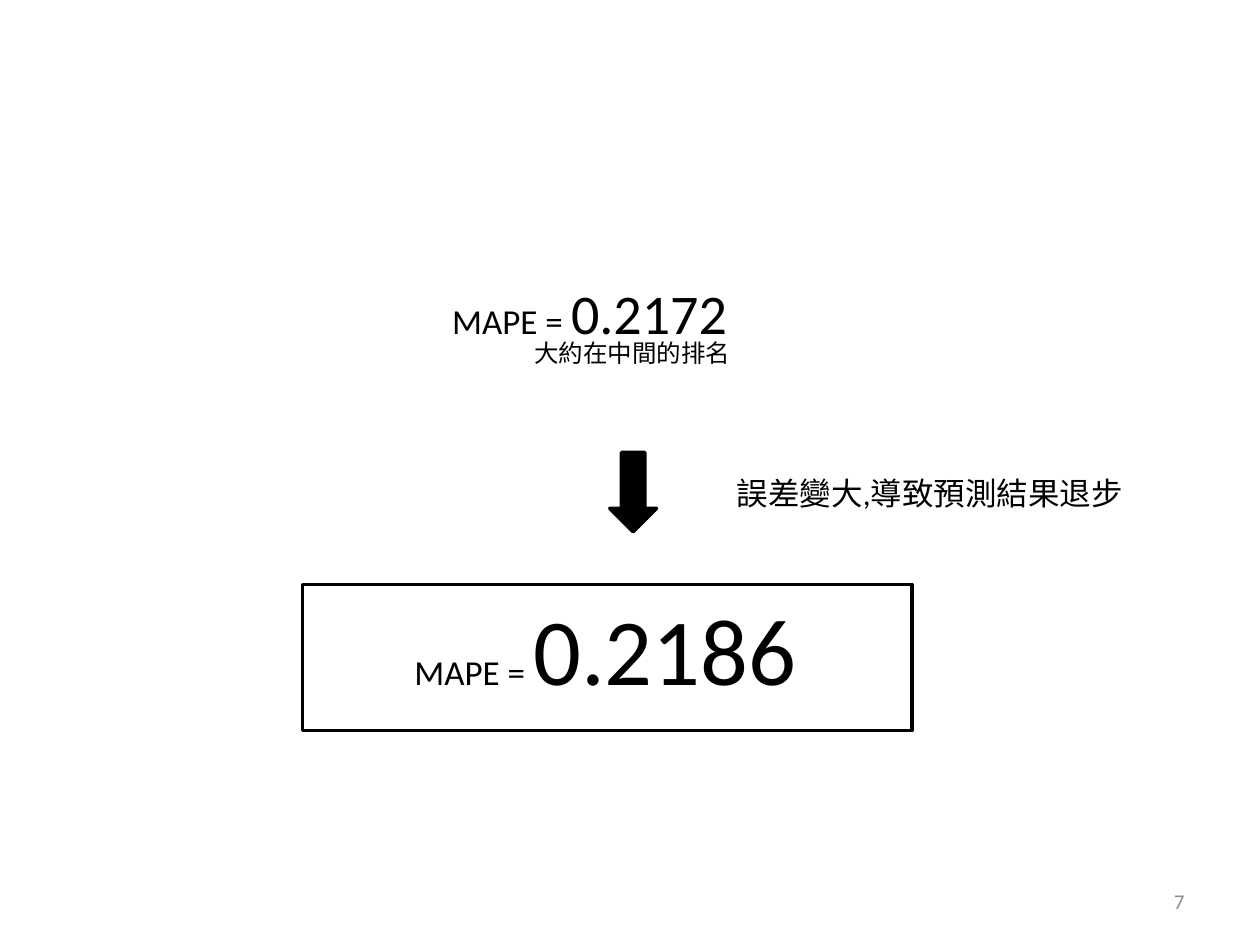
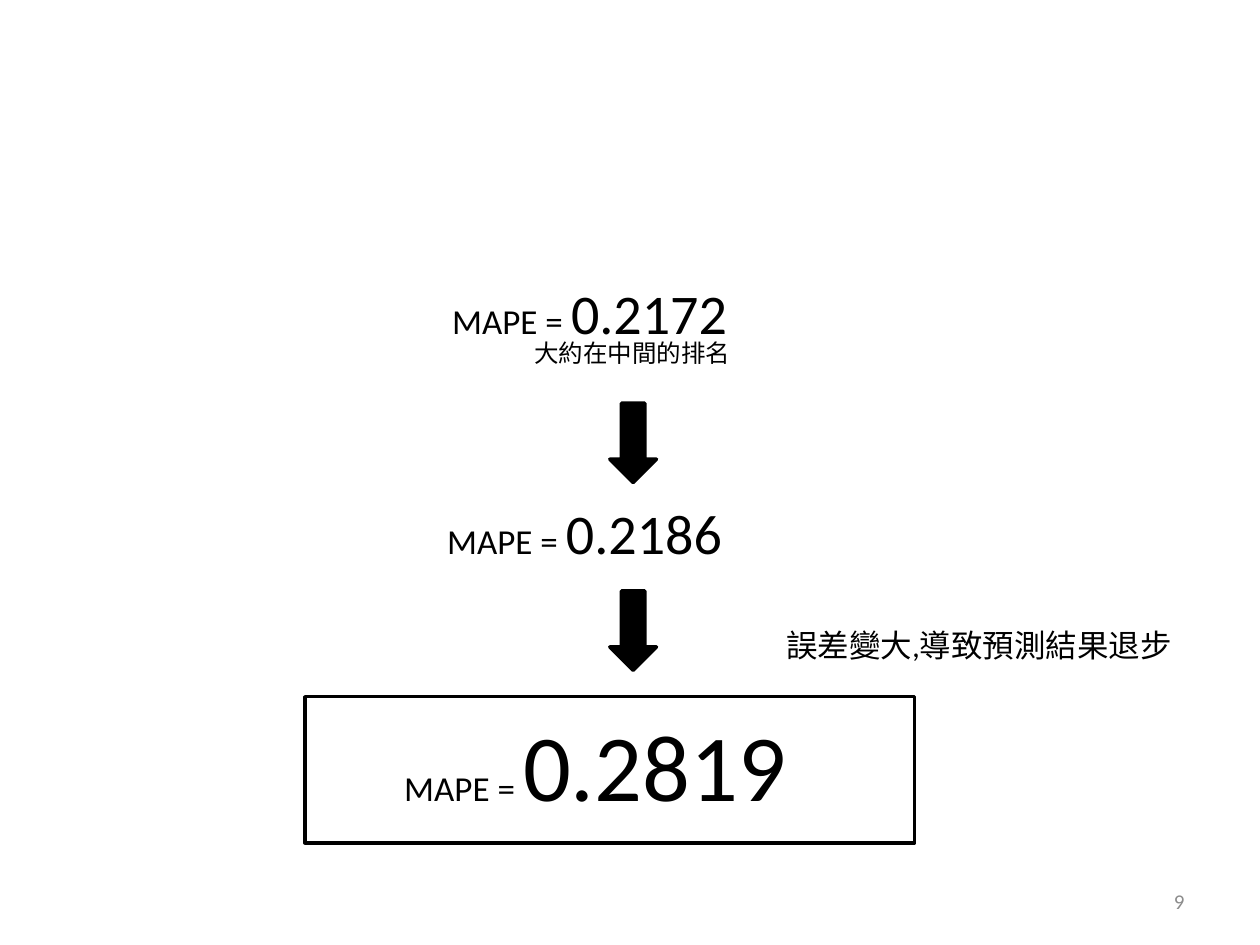
from pptx import Presentation
from pptx import util as u
from pptx.dml.color import RGBColor
from pptx.enum import shapes, text

BLACK, GREY = "000000", "8C8C8C"
FONT = "Calibri"


def write(slide, box, runs, color=BLACK, wrap=True, indent=0,
          align=text.PP_ALIGN.LEFT, anchor=text.MSO_ANCHOR.TOP):
    frame = slide.shapes.add_textbox(*map(u.Inches, box)).text_frame
    frame.word_wrap = wrap
    frame.vertical_anchor = anchor
    line = frame.paragraphs[0]
    line.alignment = align
    if indent:
        line.level = 1
        properties = line._p.get_or_add_pPr()
        properties.set("marL", str(u.Inches(indent)))
        properties.set("indent", "0")
    for words, size in runs:
        run = line.add_run()
        run.text = words
        run.font.name = FONT
        run.font.size = u.Pt(size)
        run.font.color.rgb = RGBColor.from_string(color)


def draw(slide, kind, box, fill=None):
    shape = slide.shapes.add_shape(kind, *map(u.Inches, box))
    shape.shadow.inherit = False
    if fill:
        shape.fill.solid()
        shape.fill.fore_color.rgb = RGBColor.from_string(fill)
    else:
        shape.fill.background()
    shape.line.color.rgb = RGBColor.from_string(BLACK)
    shape.line.width = u.Pt(2)


deck = Presentation()
deck.slide_width, deck.slide_height = u.Inches(10), u.Inches(7.5)

first_score = (3.49, 2.16, "0.2172", 32)
pages = [
    {"number": "7",
     "scores": [first_score, (3.19, 4.64, "0.2186", 54)],
     "arrows": [3.59], "remark": (5.25, 3.71), "frame": (2.4, 4.64)},
    {"number": "9",
     "scores": [first_score, (3.45, 3.91, "0.2186", 32), (3.11, 5.56, "0.2819", 54)],
     "arrows": [3.2, 4.69], "remark": (5.64, 4.92), "frame": (2.42, 5.53)},
]

for page in pages:
    slide = deck.slides.add_slide(deck.slide_layouts[6])
    for left, top, score, size in page["scores"]:
        height = 1.01 if size == 54 else 0.64
        write(slide, (left, top, 4.05, height), [("MAPE = ", 20), (score, size)])
    write(slide, (4.14, 2.63, 1.77, 0.34), [("大約在中間的排名", 14)], wrap=False)
    for top in page["arrows"]:
        draw(slide, shapes.MSO_SHAPE.DOWN_ARROW, (4.84, top, 0.37, 0.63), fill=BLACK)
    write(slide, (*page["remark"], 3.8, 0.4), [("誤差變大,導致預測結果退步", 18)], indent=0.5)
    draw(slide, shapes.MSO_SHAPE.RECTANGLE, (*page["frame"], 4.84, 1.16))
    write(slide, (7.17, 6.95, 2.33, 0.4), [(page["number"], 12)], color=GREY,
          align=text.PP_ALIGN.RIGHT, anchor=text.MSO_ANCHOR.MIDDLE)

deck.save("out.pptx")
